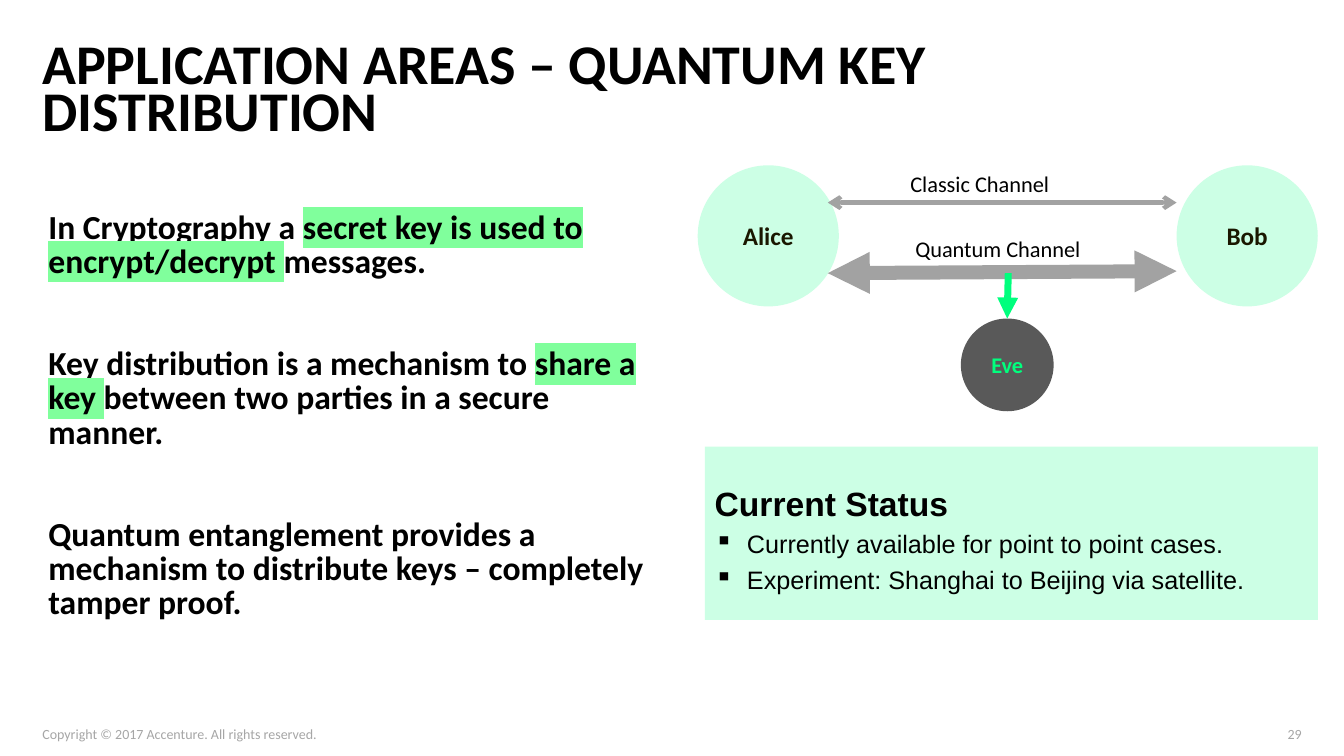
"""Build a slide on quantum key distribution."""
from lxml import etree
from pptx import Presentation
from pptx.dml.color import RGBColor
from pptx.enum.shapes import MSO_CONNECTOR, MSO_SHAPE
from pptx.enum.text import MSO_ANCHOR, PP_ALIGN
from pptx.oxml.ns import qn
from pptx.util import Inches, Pt

TOP, MIDDLE, BOTTOM = MSO_ANCHOR.TOP, MSO_ANCHOR.MIDDLE, MSO_ANCHOR.BOTTOM
LEFT, CENTER, RIGHT = PP_ALIGN.LEFT, PP_ALIGN.CENTER, PP_ALIGN.RIGHT
OVAL, RECT = MSO_SHAPE.OVAL, MSO_SHAPE.RECTANGLE
STRAIGHT = MSO_CONNECTOR.STRAIGHT

BLACK, GRAY, MINT, GREEN, MARK = "000000", "A2A2A2", "CCFFE5", "00FF7D", "80FF9C"
PAD = (0.1, 0.05, 0.1, 0.05)
FLUSH = (0, 0, 0, 0)

TITLE = "APPLICATION AREAS – QUANTUM KEY DISTRIBUTION"
POINTS = [
    [("In Cryptography a ", False),
     ("secret key is used to encrypt/decrypt ", True),
     ("messages.", False)],
    [("Key distribution is a mechanism to ", False),
     ("share a key ", True),
     ("between two parties in a secure manner.", False)],
    [("Quantum entanglement provides a mechanism to distribute keys"
      " – completely tamper proof.", False)],
]
FOOTERS = [
    ("Copyright © 2017 Accenture. All rights reserved.", 0.42, 6.25, LEFT),
    ("29", 12.58, 0.33, RIGHT),
]
STATUS = "Current Status"
FACTS = [
    "Currently available for point to point cases.",
    "Experiment: Shanghai to Beijing via satellite.",
]
PEOPLE = [
    ("Alice", 6.92, 1.64, 1.4, MINT, "1A1700", 18),
    ("Bob", 11.67, 1.64, 1.4, MINT, "1A1700", 18),
    ("Eve", 9.53, 3.16, 0.92, "595959", GREEN, 16),
]
ARROWS = [
    ((8.21, 2.01), (11.67, 2.01), GRAY, 3, "arrow", "arrow"),
    ((8.21, 2.71), (11.67, 2.69), GRAY, 10, "triangle", "triangle"),
    ((10, 2.71), (9.99, 3.16), GREEN, 5, None, "triangle"),
]
LABELS = [
    ("Quantum Channel", 8.98, 2.28, 2.16),
    ("Classic Channel", 8.93, 1.64, 1.91),
]


def color(code):
    return RGBColor.from_string(code)


def style(para, size, code=BLACK, bold=False, face="Calibri", align=LEFT):
    para.alignment = align
    font = para.font
    font.size, font.bold, font.name = Pt(size), bold, face
    font.color.rgb = color(code)


def frame(shape, pad=PAD, anchor=TOP):
    body = shape.text_frame
    body.word_wrap = True
    body.vertical_anchor = anchor
    (body.margin_left, body.margin_top,
     body.margin_right, body.margin_bottom) = map(Inches, pad)
    return body


def add_text(slide, box, pad=PAD, anchor=TOP):
    return frame(slide.shapes.add_textbox(*map(Inches, box)), pad, anchor)


def add_shape(slide, kind, box, fill):
    shape = slide.shapes.add_shape(kind, *map(Inches, box))
    shape.shadow.inherit = False
    shape.fill.solid()
    shape.fill.fore_color.rgb = color(fill)
    shape.line.fill.background()
    return shape


def indent(para, left, first=0):
    props = para._p.get_or_add_pPr()
    props.set("marL", str(Inches(left)))
    props.set("indent", str(Inches(first)))
    return props


def add_arrow(slide, start, end, code, width, head, tail):
    line = slide.shapes.add_connector(STRAIGHT, *map(Inches, start + end))
    line.line.color.rgb = color(code)
    line.line.width = Pt(width)
    props = line._element.spPr
    stroke = props.find(qn("a:ln"))
    for tag, kind in (("a:headEnd", head), ("a:tailEnd", tail)):
        if kind:
            etree.SubElement(stroke, qn(tag), type=kind)
    etree.SubElement(props, qn("a:effectLst"))


def add_points(slide):
    body = add_text(slide, (0.42, 2, 5.98, 5.13), (0, 0.1, 0, 0.05))
    for i, parts in enumerate(POINTS):
        para = body.add_paragraph() if i else body.paragraphs[0]
        indent(para, 0.06)
        for text, marked in parts:
            run = para.add_run()
            run.text = text
            if marked:
                props = run._r.get_or_add_rPr()
                mark = etree.SubElement(props, qn("a:highlight"))
                etree.SubElement(mark, qn("a:srgbClr"), val=MARK)
        para.line_spacing = 0.85
        para.space_after = Pt(48.5)
        style(para, 24, bold=True)


def add_status(slide):
    panel = add_shape(slide, RECT, (6.99, 4.43, 6.08, 1.72), MINT)
    body = frame(panel, (0.1, 0.08, 0.1, 0.05))
    para = body.paragraphs[0]
    para.text = STATUS
    para.line_spacing = 1.7
    style(para, 24, bold=True, face="Arial")
    for fact in FACTS:
        para = body.add_paragraph()
        para.text = fact
        para.space_before = Pt(4)
        props = indent(para, 0.32, -0.32)
        etree.SubElement(props, qn("a:buChar"), char="▪")
        style(para, 18, face="Arial")


def main():
    deck = Presentation()
    deck.slide_width, deck.slide_height = Inches(13.33), Inches(7.5)
    slide = deck.slides.add_slide(deck.slide_layouts[6])

    add_points(slide)
    para = add_text(slide, (0.42, 0.42, 10.73, 1.08), (0, 0.05, 0, 0)).paragraphs[0]
    para.text = TITLE
    para.line_spacing = 0.7
    style(para, 40, bold=True)

    for text, left, width, align in FOOTERS:
        para = add_text(slide, (left, 7.13, width, 0.23), FLUSH, BOTTOM).paragraphs[0]
        para.text = text
        style(para, 10, "A6A6A6", align=align)

    add_status(slide)
    for name, left, top, size, fill, ink, points in PEOPLE:
        disc = add_shape(slide, OVAL, (left, top, size, size), fill)
        para = frame(disc, anchor=MIDDLE).paragraphs[0]
        para.text = name
        style(para, points, ink, bold=True, align=CENTER)

    for arrow in ARROWS:
        add_arrow(slide, *arrow)
    for text, left, top, width in LABELS:
        para = add_text(slide, (left, top, width, 0.37)).paragraphs[0]
        para.text = text
        style(para, 16)

    deck.save("out.pptx")


if __name__ == "__main__":
    main()
